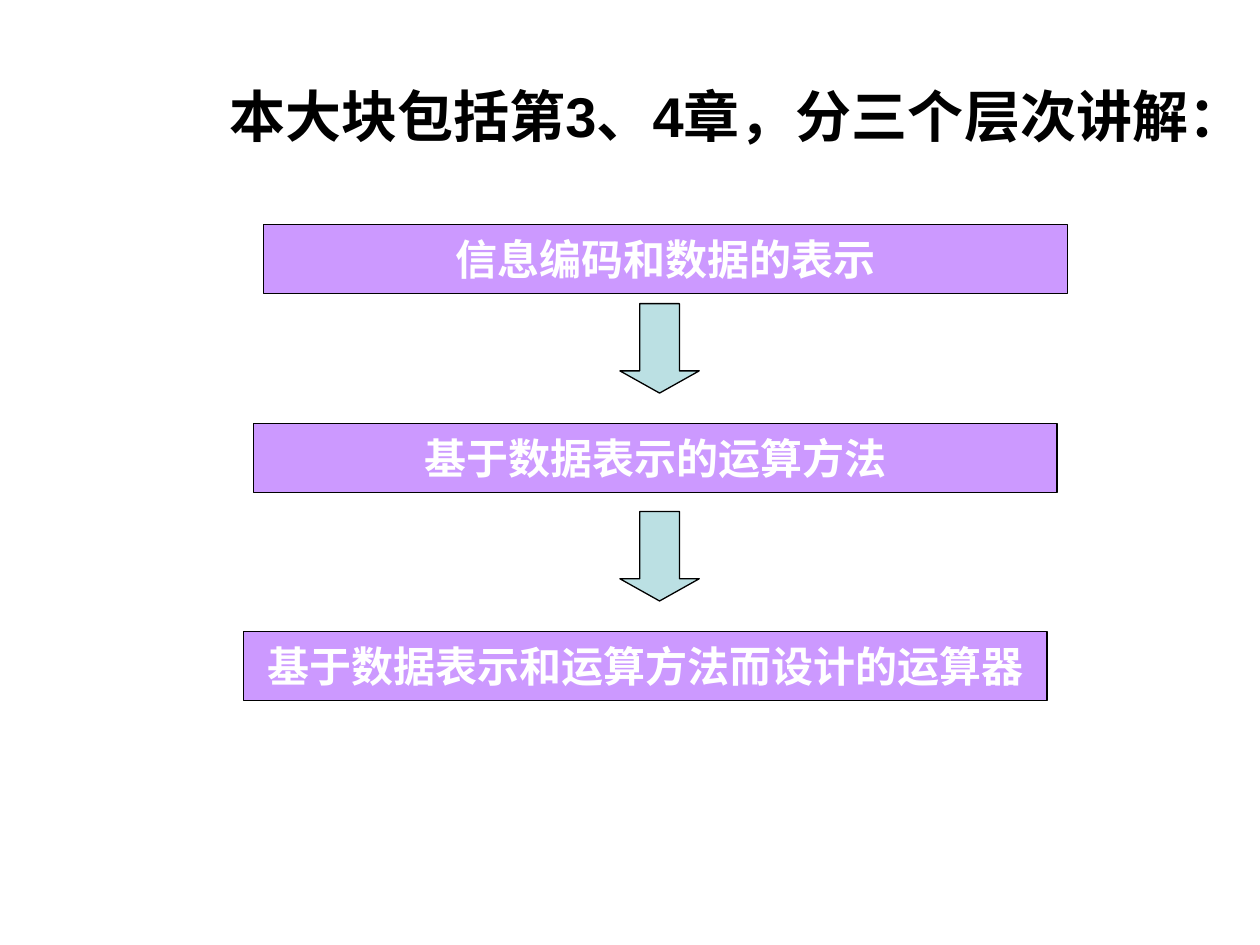
from dataclasses import dataclass

from pptx import Presentation
from pptx.dml.color import RGBColor
from pptx.enum import shapes, text
from pptx.util import Inches, Pt


@dataclass(frozen=True)
class Theme:
    font: str = "Arial"
    ink: str = "000000"
    light: str = "FFFFFF"
    level_fill: str = "CC99FF"
    arrow_fill: str = "BBE0E3"
    intro_size: int = 32
    level_size: int = 24
    line_width: float = 0.75


def write(paragraph, words, *, font, size, color, bold=True,
          align=text.PP_ALIGN.LEFT):
    paragraph.alignment = align
    span = paragraph.add_run()
    span.text = words
    span.font.name = font
    span.font.size = Pt(size)
    span.font.bold = bold
    span.font.color.rgb = RGBColor.from_string(color)


class SlideBuilder:
    def __init__(self, page, theme):
        self.page = page
        self.theme = theme

    def outlined_shape(self, kind, left, top, width, height, fill):
        shape = self.page.shapes.add_shape(
            kind, Inches(left), Inches(top), Inches(width), Inches(height))
        shape.shadow.inherit = False
        shape.fill.solid()
        shape.fill.fore_color.rgb = RGBColor.from_string(fill)
        shape.line.color.rgb = RGBColor.from_string(self.theme.ink)
        shape.line.width = Pt(self.theme.line_width)
        return shape

    def intro(self, words, left, top, width, height):
        box = self.page.shapes.add_textbox(
            Inches(left), Inches(top), Inches(width), Inches(height))
        box.text_frame.word_wrap = True
        paragraph = box.text_frame.paragraphs[0]
        # A hanging left margin with a deep first line
        properties = paragraph._p.get_or_add_pPr()
        properties.set("marL", str(Inches(0.38)))
        properties.set("indent", str(Inches(1.01)))
        write(paragraph, words, font=self.theme.font,
              size=self.theme.intro_size, color=self.theme.ink)

    def level(self, words, left, top):
        box = self.outlined_shape(shapes.MSO_SHAPE.RECTANGLE, left, top,
                                  6.38, 0.55, self.theme.level_fill)
        frame = box.text_frame
        frame.word_wrap = False
        frame.vertical_anchor = text.MSO_ANCHOR.MIDDLE
        write(frame.paragraphs[0], words, font=self.theme.font,
              size=self.theme.level_size, color=self.theme.light,
              align=text.PP_ALIGN.CENTER)

    def down_arrow(self, left, top):
        arrow = self.outlined_shape(shapes.MSO_SHAPE.DOWN_ARROW, left, top,
                                    0.63, 0.71, self.theme.arrow_fill)
        arrow.adjustments[0] = 0.5
        arrow.adjustments[1] = 0.28


def main():
    deck = Presentation()
    deck.slide_width, deck.slide_height = Inches(10), Inches(7.5)
    builder = SlideBuilder(deck.slides.add_slide(deck.slide_layouts[6]), Theme())

    builder.intro("本大块包括第3、4章，分三个层次讲解：", 0.33, 0.6, 9.34, 5.82)

    levels = [
        ("信息编码和数据的表示", 1.78),
        ("基于数据表示的运算方法", 3.36),
        ("基于数据表示和运算方法而设计的运算器", 5.01),
    ]
    for step, (words, top) in enumerate(levels):
        builder.level(words, 2.09 - 0.08 * step, top)
    for top in (2.41, 4.06):
        builder.down_arrow(4.92, top)

    deck.save("out.pptx")


if __name__ == "__main__":
    main()
